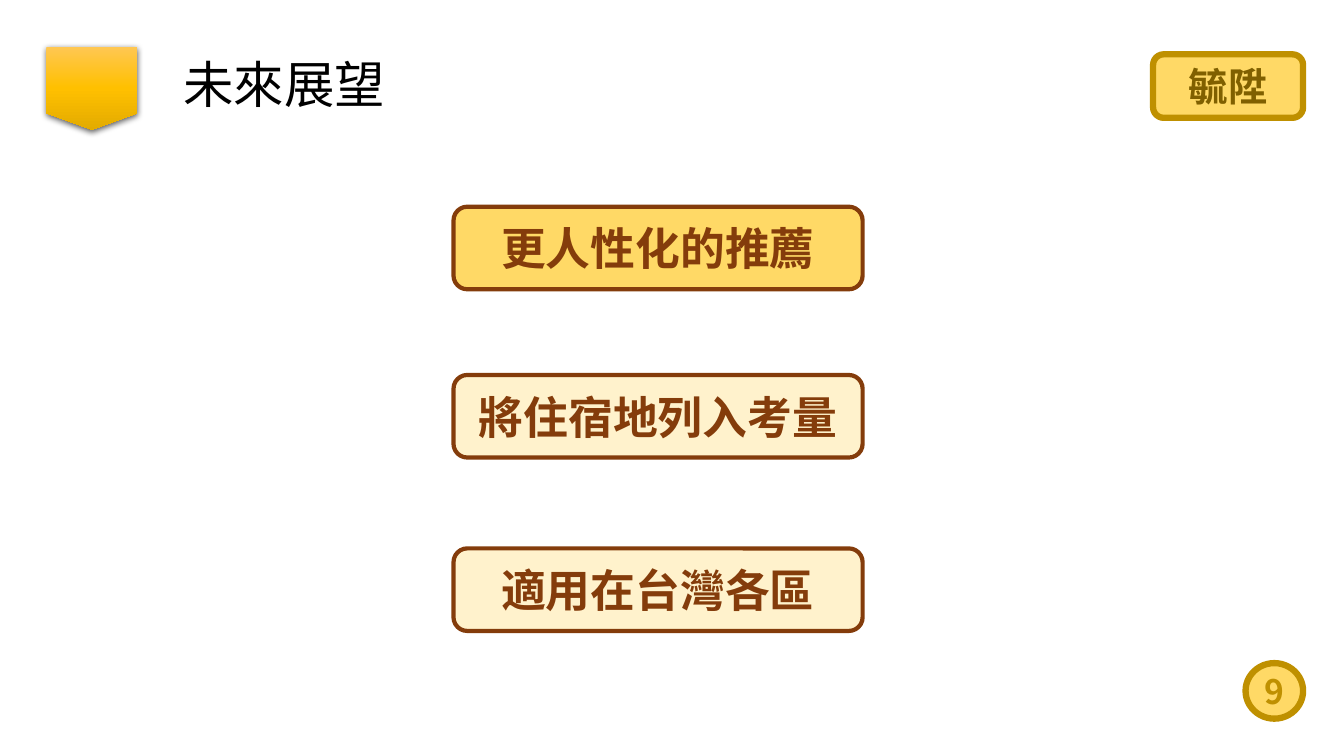
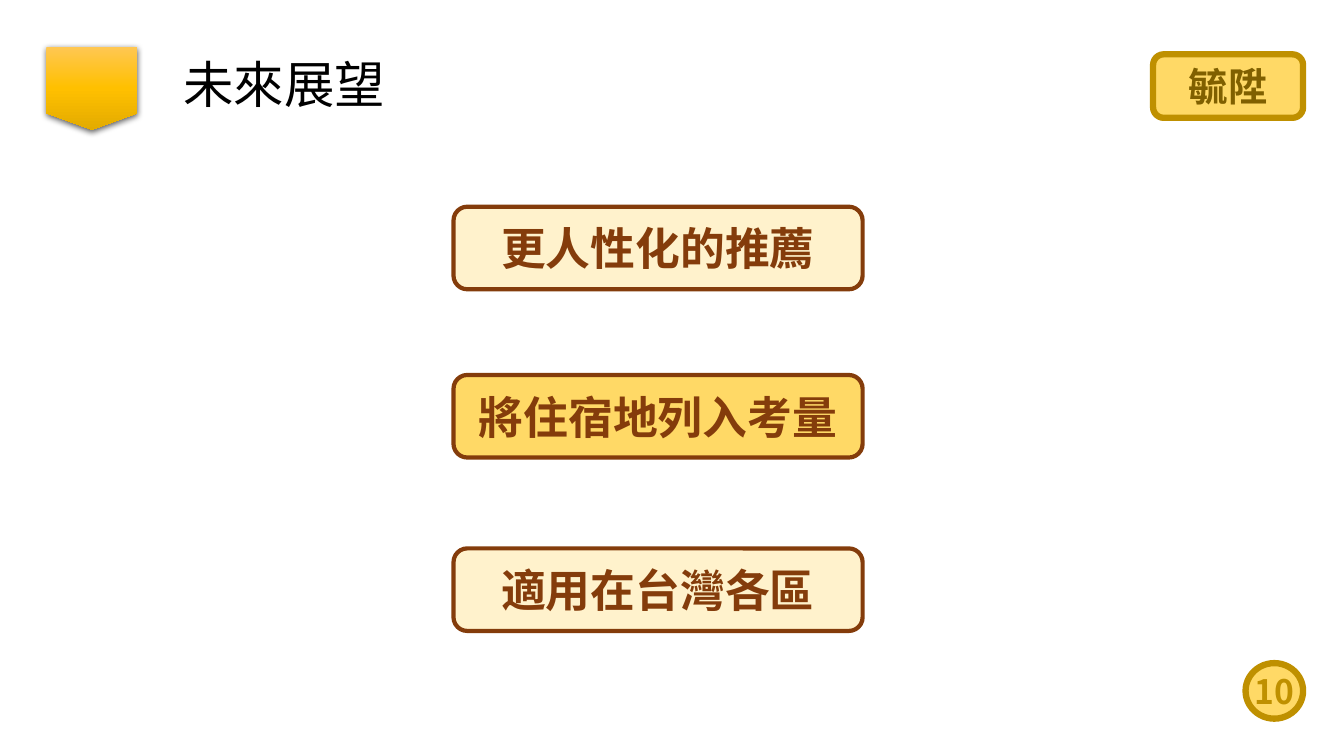
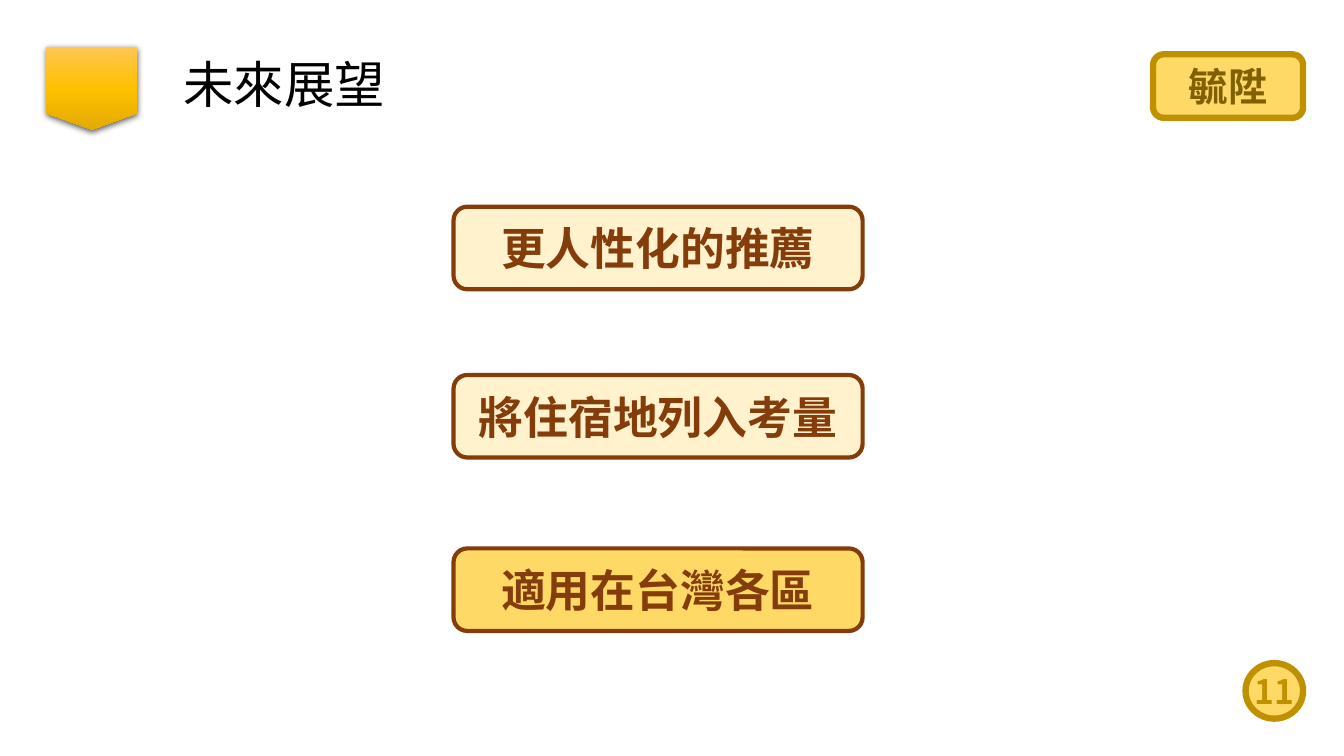
from lxml import etree
from pptx import Presentation
from pptx.dml.color import RGBColor
from pptx.enum.shapes import MSO_SHAPE as Preset
from pptx.enum.text import MSO_ANCHOR as Anchor, MSO_AUTO_SIZE as AutoSize, PP_ALIGN as Align
from pptx.oxml import parse_xml
from pptx.oxml.ns import nsdecls, qn
from pptx.util import Cm, Pt

FONT = "Noto Sans CJK SC"
BLACK, GOLD, PALE = "000000", "FFD966", "FFF2CC"
DARK_GOLD, OLIVE, BROWN = "BF9000", "806000", "843C0B"
MARKER_STOPS = [(0, "FFC752"), (50, "FFC000"), (100, "E3AB00")]

TITLE = "未來展望"
SPEAKER = "毓陞"
FIRST_PAGE = 9
# Text and top edge of each option
OPTIONS = [("更人性化的推薦", 5.21), ("將住宿地列入考量", 9.45), ("適用在台灣各區", 13.82)]


def color(value):
    return RGBColor.from_string(value)


class Builder:
    """Holds the deck, its style and the current slide."""

    def __init__(self):
        self.deck = Presentation()
        self.deck.slide_width, self.deck.slide_height = Cm(33.87), Cm(19.05)
        self.page = None

    def new_page(self, title, number):
        self.page = self.deck.slides.add_slide(self.deck.slide_layouts[5])
        self.title(title)
        self.marker()
        badge = self.box(Preset.ROUNDED_RECTANGLE, (29.06, 1.37, 3.78, 1.6), GOLD, DARK_GOLD, 4.5)
        self.outline(self.label(badge, SPEAKER, 28, OLIVE), OLIVE)
        circle = self.box(Preset.OVAL, (31.39, 16.71, 1.45, 1.4), GOLD, DARK_GOLD, 4.5)
        self.label(circle, str(number), 24, DARK_GOLD)

    def title(self, text):
        box = self.page.shapes.title
        box.left, box.top, box.width, box.height = Cm(4.37), Cm(1.17), Cm(29.21), Cm(2.03)
        frame = box.text_frame
        frame.auto_size = AutoSize.NONE
        frame.vertical_anchor = Anchor.MIDDLE
        para = frame.paragraphs[0]
        para.alignment = Align.LEFT
        para.line_spacing = 0.9
        self.span(para, text, 36, BLACK, bold=False)

    def marker(self):
        """Gradient tab with a soft shadow, left of the title."""
        box = self.box(Preset.FLOWCHART_OFFPAGE_CONNECTOR, (1.17, 1.19, 2.29, 2.08), GOLD)
        stops = "".join(
            f'<a:gs pos="{place * 1000}"><a:srgbClr val="{tone}"/></a:gs>'
            for place, tone in MARKER_STOPS
        )
        gradient = parse_xml(
            f'<a:gradFill {nsdecls("a")} rotWithShape="1"><a:gsLst>{stops}</a:gsLst>'
            '<a:lin ang="5400000" scaled="0"/></a:gradFill>'
        )
        shadow = parse_xml(
            f'<a:outerShdw {nsdecls("a")} blurRad="57150" dist="19050" dir="5400000" '
            'algn="ctr" rotWithShape="0"><a:srgbClr val="000000">'
            '<a:alpha val="63000"/></a:srgbClr></a:outerShdw>'
        )
        properties = box._element.spPr
        properties.replace(properties.find(qn("a:solidFill")), gradient)
        properties.find(qn("a:effectLst")).append(shadow)

    def box(self, preset, place, fill, line=None, weight=0):
        box = self.page.shapes.add_shape(preset, *map(Cm, place))
        box.shadow.inherit = False
        box.fill.solid()
        box.fill.fore_color.rgb = color(fill)
        if line:
            box.line.color.rgb = color(line)
            box.line.width = Pt(weight)
        else:
            box.line.fill.background()
        return box

    def label(self, box, text, size, tone):
        frame = box.text_frame
        frame.word_wrap = False
        frame.vertical_anchor = Anchor.MIDDLE
        para = frame.paragraphs[0]
        para.alignment = Align.CENTER
        return self.span(para, text, size, tone)

    def span(self, para, text, size, tone, bold=True):
        span = para.add_run()
        span.text = text
        font = span.font
        font.name, font.size, font.bold = FONT, Pt(size), bold
        font.color.rgb = color(tone)
        # East Asian text takes its own typeface
        latin = span._r.get_or_add_rPr().find(qn("a:latin"))
        east_asian = etree.Element(qn("a:ea"), typeface=FONT)
        latin.addnext(east_asian)
        return span

    def outline(self, span, tone):
        line = parse_xml(
            f'<a:ln {nsdecls("a")} w="9525"><a:solidFill><a:srgbClr val="{tone}"/>'
            '</a:solidFill></a:ln>'
        )
        span._r.get_or_add_rPr().insert(0, line)

    def options(self, active):
        for index, (text, top) in enumerate(OPTIONS):
            fill = GOLD if index == active else PALE
            box = self.box(Preset.ROUNDED_RECTANGLE, (11.43, top, 10.31, 2.08), fill, BROWN, 3)
            self.label(box, text, 32, BROWN)


def main():
    builder = Builder()
    # One slide per option, with that option highlighted
    for active in range(len(OPTIONS)):
        builder.new_page(TITLE, FIRST_PAGE + active)
        builder.options(active)
    builder.deck.save("out.pptx")


if __name__ == "__main__":
    main()
